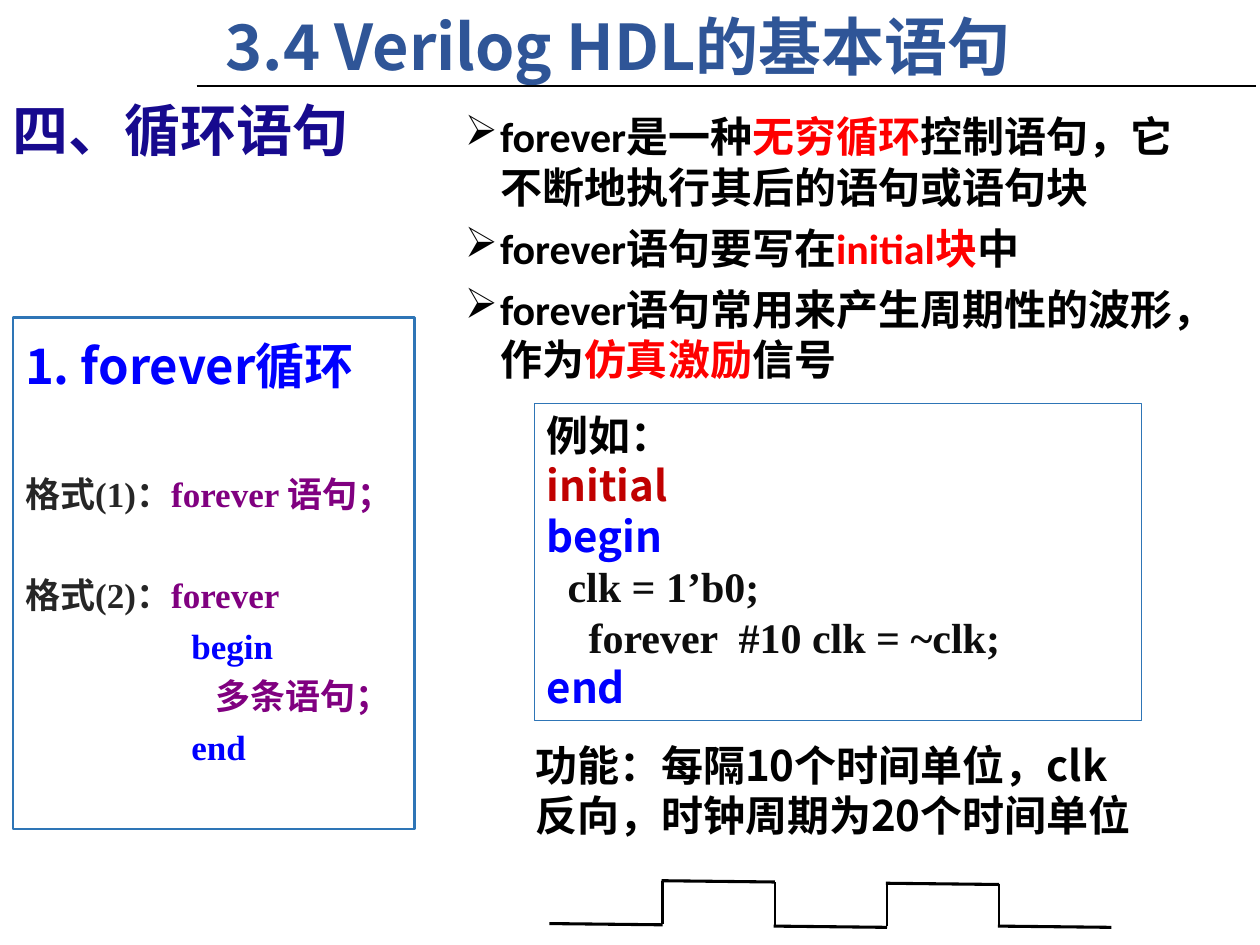
"""Builds the slide on the Verilog HDL forever loop statement."""
from lxml.etree import SubElement
from pptx import Presentation
from pptx.dml.color import RGBColor
from pptx.enum.shapes import MSO_CONNECTOR as Connector, MSO_SHAPE as Shape
from pptx.enum.text import MSO_ANCHOR as Anchor, MSO_AUTO_SIZE as AutoSize, PP_ALIGN as Align
from pptx.oxml.ns import qn
from pptx.util import Inches, Pt

BLACK = RGBColor(0x00, 0x00, 0x00)
RED = RGBColor(0xFF, 0x00, 0x00)
DARK_RED = RGBColor(0xC0, 0x00, 0x00)
BLUE = RGBColor(0x00, 0x00, 0xFF)
NAVY = RGBColor(0x17, 0x0A, 0x8E)
TITLE_BLUE = RGBColor(0x2F, 0x55, 0x97)
BORDER_BLUE = RGBColor(0x2E, 0x75, 0xB6)
PURPLE = RGBColor(0x80, 0x00, 0x80)
CHARCOAL = RGBColor(0x26, 0x26, 0x26)
CODE_BLACK = RGBColor(0x0D, 0x0D, 0x0D)
SANS, SERIF, BODY = "Noto Sans CJK SC", "Times New Roman", "Calibri"

presentation = Presentation()
presentation.slide_width, presentation.slide_height = Inches(10), Inches(7.5)
COLUMN = presentation.slide_width / 100
ROW = presentation.slide_height / 75
slide = presentation.slides.add_slide(presentation.slide_layouts[5])


def add_runs(paragraph, size, font_name, *runs):
    paragraph.alignment = Align.LEFT
    for text, color in runs:
        run = paragraph.add_run()
        run.text = text
        run.font.size, run.font.bold, run.font.name = Pt(size), True, font_name
        run.font.color.rgb = color
        SubElement(run.font._element, qn("a:ea")).set("typeface", SANS)


def add_line(shapes, start_column, start_row, end_column, end_row, width):
    line = shapes.add_connector(
        Connector.STRAIGHT, round(start_column * COLUMN), round(start_row * ROW),
        round(end_column * COLUMN), round(end_row * ROW))
    line.line.color.rgb, line.line.width = BLACK, Pt(width)
    SubElement(line._element.spPr, qn("a:effectLst"))


format_box = slide.shapes.add_shape(Shape.RECTANGLE, 0, 0, 0, 0)
example_box = slide.shapes.add_shape(Shape.RECTANGLE, 0, 0, 0, 0)
points_box, heading_box, function_box = [
    slide.shapes.add_textbox(0, 0, 0, 0) for _ in range(3)]
title = slide.shapes.title

for shape, left, top, width, height in [
    (title, 16.9, 0.1, 78.9, 7.1),
    (heading_box, 0, 7.1, 48.7, 6.4),
    (format_box, 1, 25.2, 31.9, 40.6),
    (points_box, 35.9, 8.3, 59.9, 22.9),
    (example_box, 42.4, 32, 48.2, 25.2),
    (function_box, 41.5, 58.2, 50, 9.1),
]:
    shape.left, shape.width = round(left * COLUMN), round(width * COLUMN)
    shape.top, shape.height = round(top * ROW), round(height * ROW)
    frame = shape.text_frame
    frame.word_wrap, frame.auto_size = True, AutoSize.NONE
    frame.vertical_anchor = Anchor.TOP

for shape, width in [(format_box, 1.25), (example_box, 0.75)]:
    shape.shadow.inherit = False
    shape.fill.background()
    shape.line.color.rgb, shape.line.width = BORDER_BLUE, Pt(width)
format_box.text_frame.margin_right = 0

for shape, size, text, color in [
    (title, 36, "3.4 Verilog HDL的基本语句", TITLE_BLUE),
    (heading_box, 32, "四、循环语句", NAVY),
    (function_box, 24, "功能：每隔10个时间单位，clk反向，时钟周期为20个时间单位", BLACK),
]:
    add_runs(shape.text_frame.paragraphs[0], size, SANS, (text, color))

for index, (size, font_name, before, indent, runs) in enumerate([
    (28, SANS, 0, 0, [("1. forever循环", BLUE)]),
    (20, SERIF, 40, 0, [("格式(1)：", CHARCOAL), ("forever 语句；", PURPLE)]),
    (20, SERIF, 29, 0, [("格式(2)：", CHARCOAL), ("forever", PURPLE)]),
    (20, SERIF, 0, 13.2, [("begin", BLUE)]),
    (20, SERIF, 0, 15.1, [("多条语句；", PURPLE)]),
    (20, SERIF, 0, 13.2, [("end", BLUE)]),
]):
    frame = format_box.text_frame
    paragraph = frame.add_paragraph() if index else frame.paragraphs[0]
    paragraph.line_spacing = 1.2
    if before:
        paragraph.space_before = Pt(before)
    if indent:
        paragraph._p.get_or_add_pPr().set("marL", str(round(indent * COLUMN)))
    add_runs(paragraph, size, font_name, *runs)

for index, runs in enumerate([
    [("forever是一种", BLACK), ("无穷循环", RED),
     ("控制语句，它不断地执行其后的语句或语句块", BLACK)],
    [("forever语句要写在", BLACK), ("initial块", RED), ("中", BLACK)],
    [("forever语句常用来产生周期性的波形，作为", BLACK), ("仿真激励", RED), ("信号", BLACK)],
]):
    frame = points_box.text_frame
    paragraph = frame.add_paragraph() if index else frame.paragraphs[0]
    properties = paragraph._p.get_or_add_pPr()
    properties.set("marL", str(round(2.8 * COLUMN)))
    properties.set("indent", str(round(-2.8 * COLUMN)))
    SubElement(properties, qn("a:buChar")).set("char", "➢")
    paragraph.space_after = Pt(6)
    add_runs(paragraph, 24, BODY, *runs)

for index, (text, font_name, color) in enumerate([
    ("例如：", SANS, BLACK),
    ("initial", SANS, DARK_RED),
    ("begin", SANS, BLUE),
    ("  clk = 1’b0;", SERIF, CODE_BLACK),
    ("    forever  #10 clk = ~clk;", SERIF, CODE_BLACK),
    ("end", SANS, BLUE),
]):
    frame = example_box.text_frame
    paragraph = frame.add_paragraph() if index else frame.paragraphs[0]
    add_runs(paragraph, 24, font_name, (text, color))

add_line(slide.shapes, 15.6, 6.8, 99.7, 6.8, 1.25)

waveform = slide.shapes.add_group_shape()
for index, level in enumerate([73.3, 69.9, 73.5, 70.1, 73.5]):
    left = 43.6 + 8.9 * index
    add_line(waveform.shapes, left, level, left + 9, level + 0.1, 1.75)
    if index < 4:
        edge_top = 69.9 + 0.1 * index
        add_line(waveform.shapes, left + 9, edge_top + 3.4, left + 9, edge_top, 1.5)

presentation.save("out.pptx")
